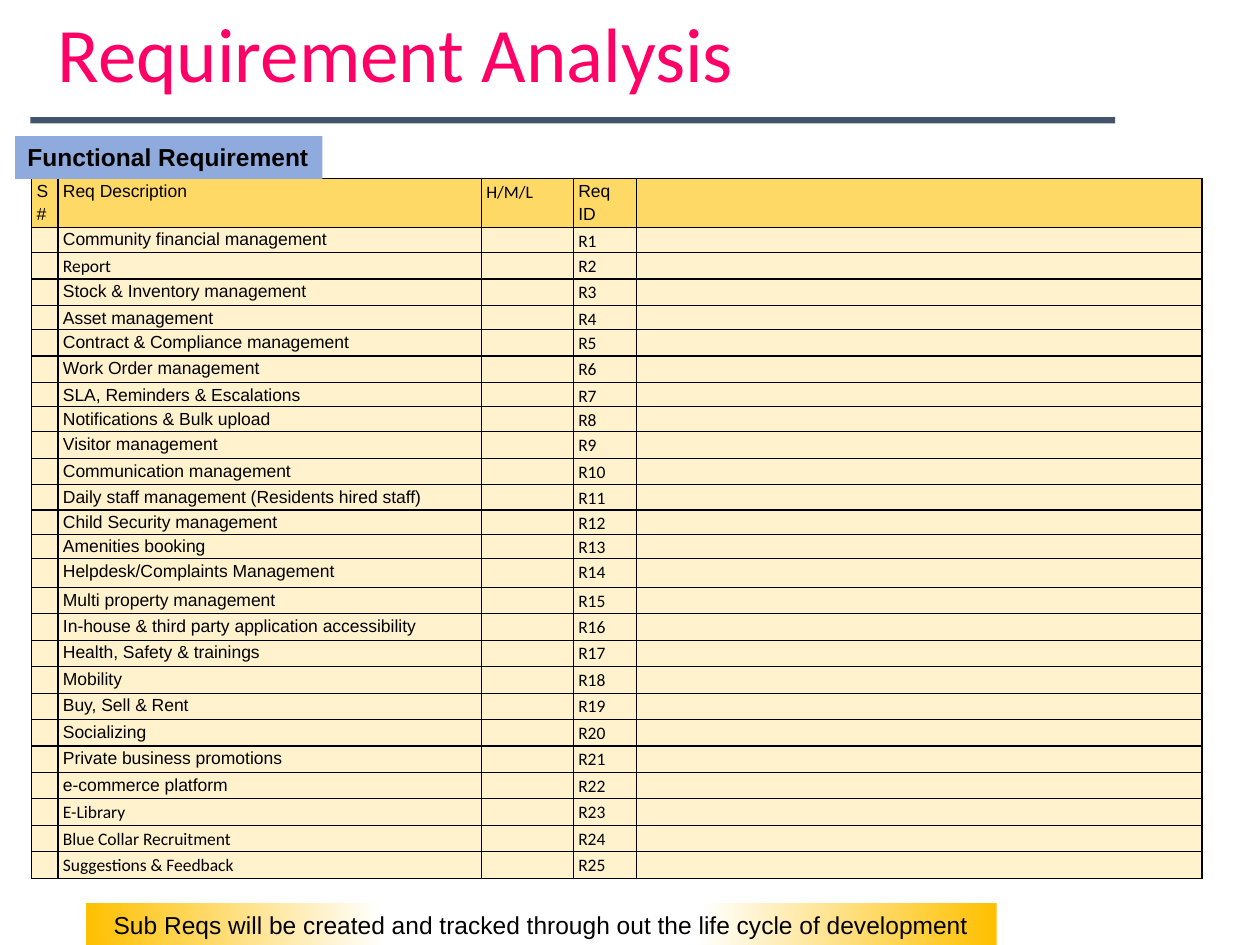
from lxml.etree import SubElement
from pptx import Presentation
from pptx.dml.color import RGBColor
from pptx.enum.shapes import MSO_SHAPE
from pptx.enum.text import MSO_ANCHOR, MSO_AUTO_SIZE, PP_ALIGN
from pptx.oxml import parse_xml
from pptx.oxml.ns import nsdecls, qn
from pptx.util import Pt

SCALE = 9144  # EMU in one px, 100 px to the inch

COLORS = {
    "title": "FF0066",
    "rule": "44546A",
    "label": "8FAADC",
    "header": "FFD966",
    "body": "FFF2CC",
    "banner_edge": "FFC000",
    "white": "FFFFFF",
    "text": "000000",
}

COLUMN_WIDTHS = [21, 336, 73, 50, 449]
ROW_HEIGHTS = [38, 20, 21, 21, 19, 21, 21, 19, 20, 21, 21, 20, 19, 19, 23] + [21] * 11
HEADERS = ["S#", "Req Description", "H/M/L", "Req ID", ""]
REQUIREMENTS = [
    "Community financial management",
    "Report",
    "Stock & Inventory management",
    "Asset management",
    "Contract & Compliance management",
    "Work Order management",
    "SLA, Reminders & Escalations",
    "Notifications & Bulk upload",
    "Visitor management",
    "Communication management",
    "Daily staff management (Residents hired staff)",
    "Child Security management",
    "Amenities booking",
    "Helpdesk/Complaints Management",
    "Multi property management",
    "In-house & third party application accessibility",
    "Health, Safety & trainings",
    "Mobility",
    "Buy, Sell & Rent",
    "Socializing",
    "Private business promotions",
    "e-commerce platform",
    "E-Library",
    "Blue Collar Recruitment",
    "Suggestions & Feedback",
]
CALIBRI_TEXTS = {"H/M/L", "Report", "E-Library", "Blue Collar Recruitment",
                 "Suggestions & Feedback"}


def px(*lengths):
    return [round(length * SCALE) for length in lengths]


def rgb(name):
    return RGBColor.from_string(COLORS[name])


def add_span(para, text, size, font="Arial", color="text", bold=False):
    span = para.add_run()
    span.text = text
    span.font.size = Pt(size)
    span.font.name = font
    span.font.bold = bold
    span.font.color.rgb = rgb(color)


def add_bar(page, box, color):
    bar = page.shapes.add_shape(MSO_SHAPE.RECTANGLE, *px(*box))
    bar.shadow.inherit = False
    bar.fill.solid()
    bar.fill.fore_color.rgb = rgb(color)
    bar.line.fill.background()
    return bar


def add_title(page, box):
    """Place the heading with the rule below it."""
    left, top, width, height = box
    add_bar(page, (left - 12, top + 80, width + 25, 5), "rule")
    frame = page.shapes.add_textbox(*px(*box)).text_frame
    frame.word_wrap = True
    frame.vertical_anchor = MSO_ANCHOR.MIDDLE
    inset, = px(10)
    frame.margin_left = frame.margin_right = inset
    frame.margin_top = frame.margin_bottom = inset
    para = frame.paragraphs[0]
    para.line_spacing = 0.9
    add_span(para, "Requirement Analysis", 44, "Calibri", "title")


def add_caption(page, box, text, color, align, bold=False, wrap=True):
    """Place a filled bar that grows to fit one line of text."""
    bar = add_bar(page, box, color)
    frame = bar.text_frame
    frame.word_wrap = wrap
    frame.auto_size = MSO_AUTO_SIZE.SHAPE_TO_FIT_TEXT
    frame.vertical_anchor = MSO_ANCHOR.TOP
    para = frame.paragraphs[0]
    para.alignment = align
    add_span(para, text, 14, bold=bold)
    return bar


def set_radial_fill(shape, inner, outer):
    """Fill with a circular gradient that stays plain for its first third."""
    stops = "".join(
        f'<a:gs pos="{position * 1000}"><a:srgbClr val="{COLORS[color]}"/></a:gs>'
        for position, color in [(0, inner), (35, inner), (100, outer)])
    gradient = parse_xml(
        f'<a:gradFill rotWithShape="1" {nsdecls("a")}><a:gsLst>{stops}</a:gsLst>'
        '<a:path path="circle">'
        '<a:fillToRect l="50000" t="-80000" r="50000" b="180000"/>'
        '</a:path></a:gradFill>')
    properties = shape.element.spPr
    properties.replace(properties.find(qn("a:solidFill")), gradient)


def add_borders(cell):
    properties = cell._tc.get_or_add_tcPr()
    for side in ("lnL", "lnR", "lnT", "lnB"):
        line = SubElement(properties, qn(f"a:{side}"), w=str(Pt(0.75)))
        fill = SubElement(line, qn("a:solidFill"))
        SubElement(fill, qn("a:srgbClr"), val=COLORS["text"])


def fill_cell(cell, text, font, color):
    add_borders(cell)
    cell.fill.solid()
    cell.fill.fore_color.rgb = rgb(color)
    cell.margin_left, cell.margin_right, cell.margin_top, cell.margin_bottom = px(4, 4, 0, 0)
    para = cell.text_frame.paragraphs[0]
    para.line_spacing = 1.15
    if text:
        add_span(para, text, 10, font)
    else:
        # An empty cell needs a small text size to keep its row low.
        SubElement(para._p, qn("a:endParaRPr"), sz="1000")


def add_requirements(page, left, top):
    rows = [HEADERS] + [["", name, "", f"R{number}", ""]
                        for number, name in enumerate(REQUIREMENTS, 1)]
    box = (left, top, sum(COLUMN_WIDTHS), sum(ROW_HEIGHTS))
    table = page.shapes.add_table(len(rows), len(COLUMN_WIDTHS), *px(*box)).table
    table.first_row = table.horz_banding = False
    for column, width in zip(table.columns, px(*COLUMN_WIDTHS)):
        column.width = width
    for row, height in zip(table.rows, px(*ROW_HEIGHTS)):
        row.height = height
    for row_index, texts in enumerate(rows):
        color = "body" if row_index else "header"
        for column_index, text in enumerate(texts):
            is_id = row_index > 0 and column_index == 3
            font = "Calibri" if is_id or text in CALIBRI_TEXTS else "Arial"
            fill_cell(table.cell(row_index, column_index), text, font, color)


def main():
    deck = Presentation()
    deck.slide_width, deck.slide_height = px(1000, 750)
    page = deck.slides.add_slide(deck.slide_layouts[6])
    add_title(page, (36, 13, 836, 66))
    add_requirements(page, 25, 142)
    add_caption(page, (12, 108, 244, 34), "Functional Requirement", "label",
                PP_ALIGN.LEFT, bold=True, wrap=False)
    banner = add_caption(
        page, (68, 717, 723, 34),
        "Sub Reqs will be created and tracked through out the life cycle of development",
        "banner_edge", PP_ALIGN.CENTER)
    set_radial_fill(banner, "white", "banner_edge")
    deck.save("out.pptx")


if __name__ == "__main__":
    main()
